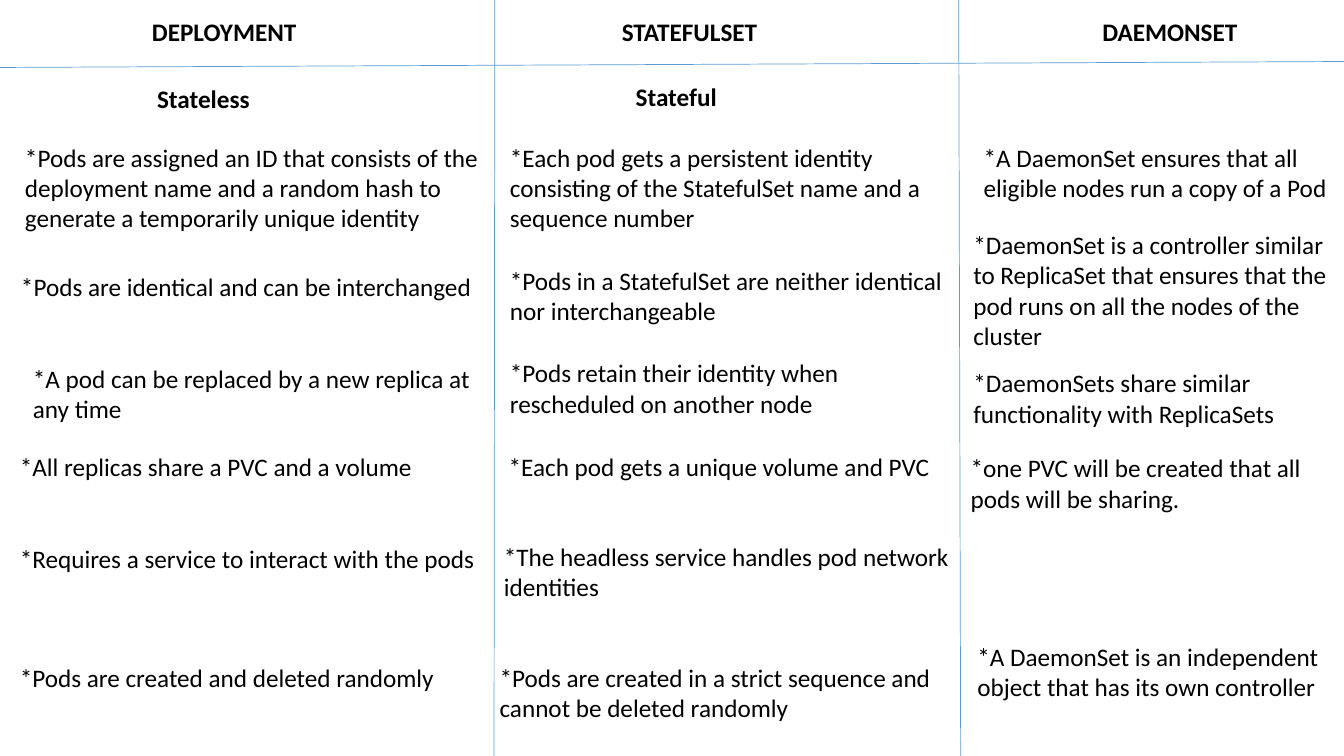
from dataclasses import dataclass

from lxml.etree import SubElement
from pptx import Presentation
from pptx.dml.color import RGBColor
from pptx.enum.text import MSO_AUTO_SIZE
from pptx.oxml.ns import qn
from pptx.util import Cm, Pt


@dataclass(frozen=True)
class Theme:
    font: str = "Calibri"
    size: Pt = Pt(18)
    ink: RGBColor = RGBColor(0x00, 0x00, 0x00)
    rule: RGBColor = RGBColor(0x5B, 0x9B, 0xD5)
    rule_width: Pt = Pt(0.5)


THEME = Theme()
WIDTH, HEIGHT = 33.87, 19.05
LINE_HEIGHT, PADDING = 0.77, 0.25

RULES = [
    (12.47, 0, 12.45, HEIGHT),
    (24.16, 0, 24.21, HEIGHT),
    (0, 1.7, WIDTH, 1.55),
]

HEADINGS = [
    ("DEPLOYMENT", 3.58),
    ("STATEFULSET", 15.42),
    ("DAEMONSET", 27.53),
]

DEPLOYMENT = [
    ("*Pods are assigned an ID that consists of the deployment name and a random hash "
     "to generate a temporarily unique identity", 0.38, 3.45, 12.09, 3),
    ("*Pods are identical and can be interchanged", 0.28, 6.71, 11.96, 1),
    ("*A pod can be replaced by a new replica at any time", 0.58, 9.02, 12.19, 2),
    ("*All replicas share a PVC and a volume", 0.25, 11.25, 10.52, 1),
    ("*Requires a service to interact with the pods", 0.25, 13.56, 12.12, 1),
    ("*Pods are created and deleted randomly", 0.25, 16.56, 11.07, 1),
]

STATEFULSET = [
    ("*Each pod gets a persistent identity consisting of the StatefulSet name and a "
     "sequence number", 12.6, 3.45, 11.68, 3),
    ("*Pods in a StatefulSet are neither identical nor interchangeable",
     12.6, 6.55, 11.58, 2),
    ("*Pods retain their identity when rescheduled on another node",
     12.6, 8.89, 11.94, 2),
    ("*Each pod gets a unique volume and PVC", 12.57, 11.25, 11.25, 1),
    ("*The headless service handles pod network identities", 12.45, 13.51, 11.76, 2),
    ("*Pods are created in a strict sequence and cannot be deleted randomly",
     12.34, 16.56, 11.73, 2),
]

DAEMONSET = [
    ("*A DaemonSet ensures that all eligible nodes run a copy of a Pod",
     24.54, 3.45, 9.32, 2),
    ("*DaemonSet is a controller similar to ReplicaSet that ensures that the pod runs "
     "on all the nodes of the cluster", 24.28, 5.66, 9.68, 4),
    ("*DaemonSets share similar functionality with ReplicaSets", 24.28, 9.14, 9.53, 2),
    ("*one PVC will be created that all pods will be sharing.", 24.21, 11.28, 9.75, 3),
    ("*A DaemonSet is an independent object that has its own controller",
     24.38, 16.03, 9.42, 2),
]


def add_rule(page, start_x, start_y, end_x, end_y):
    rule = page.shapes.add_connector(1, Cm(start_x), Cm(start_y), Cm(end_x), Cm(end_y))
    rule.line.color.rgb = THEME.rule
    rule.line.width = THEME.rule_width
    SubElement(rule._element.spPr, qn("a:effectLst"))


def add_text(page, text, left, top, width, lines=1, bold=False, wrap=True):
    height = PADDING + LINE_HEIGHT * lines
    box = page.shapes.add_textbox(Cm(left), Cm(top), Cm(width), Cm(height))
    frame = box.text_frame
    frame.text = text
    frame.word_wrap = wrap
    frame.auto_size = MSO_AUTO_SIZE.SHAPE_TO_FIT_TEXT
    for span in frame.paragraphs[0].runs:
        span.font.name = THEME.font
        span.font.size = THEME.size
        span.font.bold = bold
        span.font.color.rgb = THEME.ink


def add_notes_column(page, notes):
    for text, left, top, width, lines in notes:
        add_text(page, text, left, top, width, lines, wrap=lines > 1)


def main():
    deck = Presentation()
    deck.slide_width, deck.slide_height = Cm(WIDTH), Cm(HEIGHT)
    page = deck.slides.add_slide(deck.slide_layouts[6])
    for rule in RULES:
        add_rule(page, *rule)
    for text, left in HEADINGS:
        add_text(page, text, left, 0.28, 5.26, bold=True)
    add_text(page, "Stateless", 3.71, 1.98, 2.87, bold=True, wrap=False)
    add_text(page, "Stateful", 15.77, 1.93, 3.35, bold=True)
    for notes in (DEPLOYMENT, STATEFULSET, DAEMONSET):
        add_notes_column(page, notes)
    deck.save("out.pptx")


if __name__ == "__main__":
    main()
